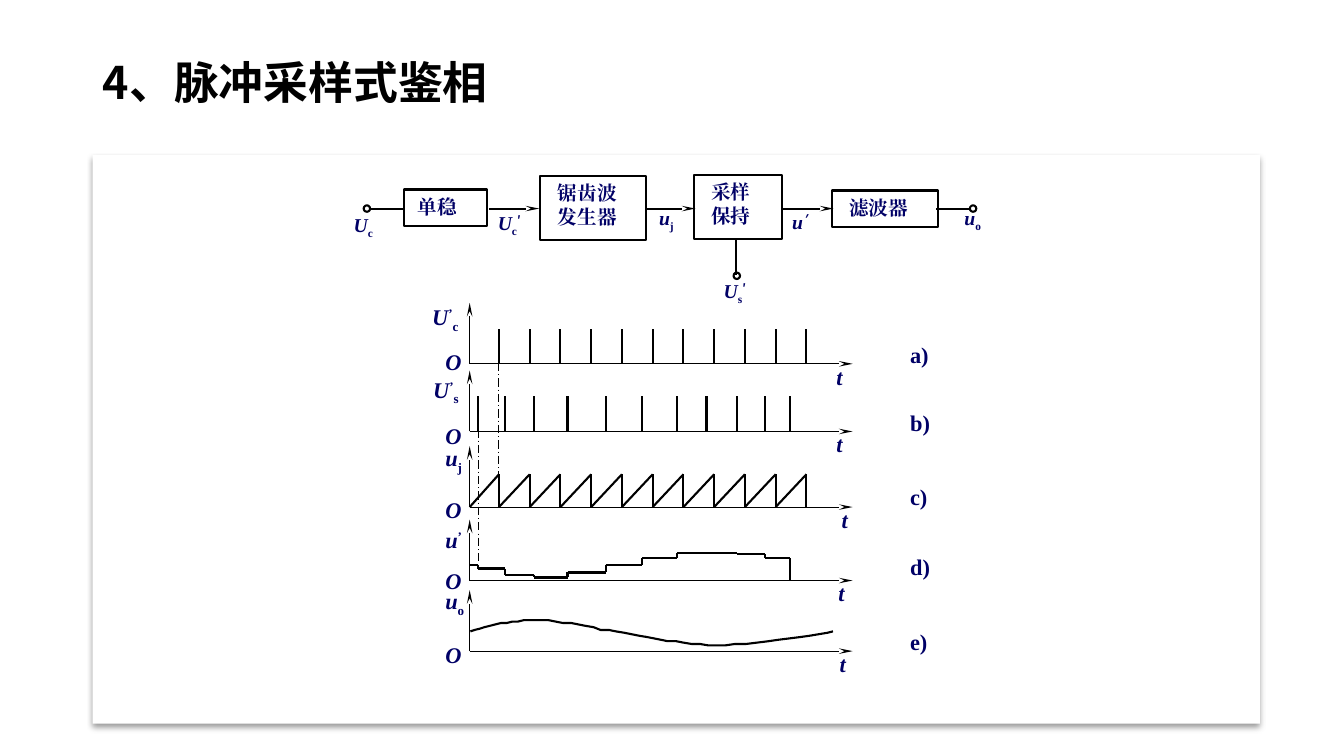
from itertools import pairwise
from lxml.etree import SubElement
from pptx import Presentation
from pptx.dml.color import RGBColor
from pptx.enum.dml import MSO_LINE
from pptx.enum.shapes import MSO_CONNECTOR, MSO_SHAPE
from pptx.enum.text import MSO_ANCHOR, PP_ALIGN
from pptx.oxml.ns import qn
from pptx.util import Pt

TITLE = "4、脉冲采样式鉴相"
INK, NAVY, WHITE = "000000", "000066", "FFFFFF"
CJK, SERIF = "Noto Sans CJK SC", "Times New Roman"

# Label pieces: _ subscript, ^ superscript, ~ slanted superscript
MARKS = {"_": (-25000, False), "^": (30000, False), "~": (30000, True)}

# Block diagram: text, left, top, width, height, text indent
BLOCKS = [
    ("单稳", 288.7, 135.4, 59, 25.9, 9.5),
    ("锯齿波\n发生器", 385.9, 126, 75.6, 45.4, 12.5),
    ("采样\n保持", 495.4, 125.3, 63.4, 45.4, 12.5),
    ("滤波器", 594, 136.1, 76.3, 25.9, 12.5),
]
WIRE_Y = 149
ARROWS = [349.2, 460.8, 559.4]
ARROW_LENGTH = 36
WIRES = [(288.7, WIRE_Y, 265, WIRE_Y), (668.9, WIRE_Y, 692.6, WIRE_Y),
         (525.6, 170.6, 525.6, 196.6)]
TERMINALS = [(262.1, WIRE_Y), (695.1, WIRE_Y), (526.3, 197)]
TERMINAL_SIZE = 4.6
SIGNALS = [
    ("U _c", 245.5, 148.3), ("U _c ^′", 348.5, 146.9), ("u _j", 463.7, 143.3),
    ("u ~′", 558.7, 146.2), ("u _o", 681.8, 143.3), ("U _s ^′", 509.8, 195.8),
]

# Waveforms: baseline, name, name left, name top, O top, t left, letter, letter top
CHARTS = [
    (259.9, "U ^’ _c", 301.7, 213.1, 244.8, 590.4, "a)", 239.8),
    (308.2, "U ^’ _s", 302.4, 265, 298.1, 590.4, "b)", 288.7),
    (362.2, "u _j", 311, 313.9, 350.6, 594, "c)", 341.3),
    (414.7, "u ^’", 311, 372.2, 401.8, 591.8, "d)", 391.7),
    (465.1, "u _o", 311, 416.2, 454.3, 592.6, "e)", 445),
]
BASE_A, BASE_B, BASE_C, BASE_D, _ = [chart[0] for chart in CHARTS]
AXIS_X, AXIS_END, AXIS_HEIGHT = 335.5, 609.1, 43.6
PULSE_HEIGHT, TOOTH_HEIGHT = 25.2, 23.4
PULSES = [356.4 + 21.96 * i for i in range(11)]
SAMPLES = [341.3, 360.7, 381.6, 405.4, 432.7, 458.6, 483.8, 504.7, 526.3, 546.5, 564.5]
HELD = [10.8, 8.6, 4.3, 2.2, 5.8, 10.8, 15.8, 19.4, 19.4, 18.7, 15.8]
GUIDES = [(341.6, 306.7, 403.9), (356.4, 259.2, 356.4)]
CURVE_START = (335.5, 451.4)
CURVE = [
    ((349.9, 447.1), (364.3, 442.8), (383, 442.8)),
    ((401, 442.8), (424.1, 449.3), (445.7, 452.2)),
    ((467.3, 455), (486.7, 460.8), (511.9, 460.8)),
    ((536.4, 460.8), (578.2, 453.6), (595.4, 451.4)),
]
CURVE_STEPS = 12


def rgb(hex_):
    return RGBColor.from_string(hex_)


def style(p, size, color, name):
    """Format a whole paragraph, East Asian typeface included."""
    f = p.font
    f.size, f.bold, f.name = Pt(size), True, name
    f.color.rgb = rgb(color)
    SubElement(p._p.pPr.find(qn("a:defRPr")), qn("a:ea"), typeface=name)


def outline(sp, width=1.5):
    sp.shadow.inherit = False
    sp.fill.background()
    sp.line.color.rgb = rgb(INK)
    sp.line.width = Pt(width)


def line(x1, y1, x2, y2, width=1.5, arrow=False, dash=None):
    c = s.shapes.add_connector(MSO_CONNECTOR.STRAIGHT, Pt(x1), Pt(y1), Pt(x2), Pt(y2))
    c.line.color.rgb = rgb(INK)
    c.line.width = Pt(width)
    if dash:
        c.line.dash_style = dash
    if arrow:
        SubElement(c.line._get_or_add_ln(), qn("a:tailEnd"), type="stealth", w="sm", len="lg")
    SubElement(c._element.spPr, qn("a:effectLst"))


def label(text, x, y, size=16, width=42, height=30, italic=True):
    tf = s.shapes.add_textbox(Pt(x), Pt(y), Pt(width), Pt(height)).text_frame
    tf.word_wrap = True
    p = tf.paragraphs[0]
    style(p, size, NAVY, SERIF)
    for piece in text.split():
        baseline, slanted = MARKS.get(piece[0], (0, italic))
        r = p.add_run()
        r.text = piece[1:] if baseline else piece
        r.font.italic = slanted
        if baseline:
            r.font._element.set("baseline", str(baseline))
        if "′" in piece:
            r.font.name = CJK
            SubElement(r.font._element, qn("a:ea"), typeface=CJK)


def bezier(p0, p1, p2, p3, t):
    return tuple((1 - t) ** 3 * a + 3 * (1 - t) ** 2 * t * b + 3 * (1 - t) * t ** 2 * c + t ** 3 * d
                 for a, b, c, d in zip(p0, p1, p2, p3))


prs = Presentation()
prs.slide_width, prs.slide_height = Pt(960), Pt(540)
s = prs.slides.add_slide(prs.slide_layouts[5])

title = s.shapes.title
title.left, title.top, title.width, title.height = Pt(66.2), Pt(37.4), Pt(828), Pt(46.8)
title.text_frame.text = TITLE
title.text_frame.vertical_anchor = MSO_ANCHOR.MIDDLE
p = title.text_frame.paragraphs[0]
p.alignment, p.line_spacing = PP_ALIGN.LEFT, 0.9
style(p, 32, INK, CJK)

panel = s.shapes.add_shape(MSO_SHAPE.RECTANGLE, Pt(66.2), Pt(110.9), Pt(833.8), Pt(406.1))
panel.fill.solid()
panel.fill.fore_color.rgb = rgb(WHITE)
panel.line.fill.background()
panel.shadow.inherit = False
shadow = SubElement(panel._element.spPr.find(qn("a:effectLst")), qn("a:outerShdw"),
                    blurRad=str(Pt(4)), dist=str(Pt(3)), dir="5400000", algn="t", rotWithShape="0")
SubElement(SubElement(shadow, qn("a:srgbClr"), val=INK), qn("a:alpha"), val="40000")

for text, x, y, w, h, indent in BLOCKS:
    sp = s.shapes.add_shape(MSO_SHAPE.RECTANGLE, Pt(x), Pt(y), Pt(w), Pt(h))
    outline(sp)
    tf = sp.text_frame
    tf.text = text
    tf.word_wrap, tf.vertical_anchor, tf.margin_left = True, MSO_ANCHOR.TOP, Pt(indent)
    for p in tf.paragraphs:
        p.alignment = PP_ALIGN.LEFT
        style(p, 14, NAVY, SERIF)
for x in ARROWS:
    line(x, WIRE_Y, x + ARROW_LENGTH, WIRE_Y, arrow=True)
for wire in WIRES:
    line(*wire)
for x, y in TERMINALS:
    half = TERMINAL_SIZE / 2
    outline(s.shapes.add_shape(MSO_SHAPE.OVAL, Pt(x - half), Pt(y - half),
                               Pt(TERMINAL_SIZE), Pt(TERMINAL_SIZE)))
for text, x, y in SIGNALS:
    label(text, x, y, size=14, width=50)

for base, name, name_x, name_y, o_y, t_x, letter, letter_y in CHARTS:
    line(AXIS_X, base, AXIS_END, base, 0.5, arrow=True)
    line(AXIS_X, base, AXIS_X, base - AXIS_HEIGHT, 0.5, arrow=True)
    label(name, name_x, name_y)
    label("O", 311, o_y, width=28)
    label("t", t_x, base - 4.3, width=32)
    label(letter, 643, letter_y, italic=False)

for base, xs in ((BASE_A, PULSES), (BASE_B, SAMPLES)):
    for x in xs:
        line(x, base, x, base - PULSE_HEIGHT)
for x1, x2 in pairwise([AXIS_X] + PULSES):
    line(x1, BASE_C, x2, BASE_C - TOOTH_HEIGHT)
    line(x2, BASE_C - TOOTH_HEIGHT, x2, BASE_C)
for (x1, x2), (level, following) in zip(pairwise([AXIS_X] + SAMPLES), pairwise(HELD + [0])):
    line(x1, BASE_D - level, x2, BASE_D - level)
    if level != following:
        line(x2, BASE_D - level, x2, BASE_D - following)
for x, y1, y2 in GUIDES:
    line(x, y1, x, y2, 0.75, dash=MSO_LINE.LONG_DASH_DOT)

starts = [CURVE_START] + [segment[-1] for segment in CURVE]
points = [bezier(start, *segment, i / CURVE_STEPS)
          for start, segment in zip(starts, CURVE) for i in range(1, CURVE_STEPS + 1)]
fb = s.shapes.build_freeform(*CURVE_START, scale=Pt(1))
fb.add_line_segments(points, close=False)
outline(fb.convert_to_shape())

prs.save("out.pptx")
